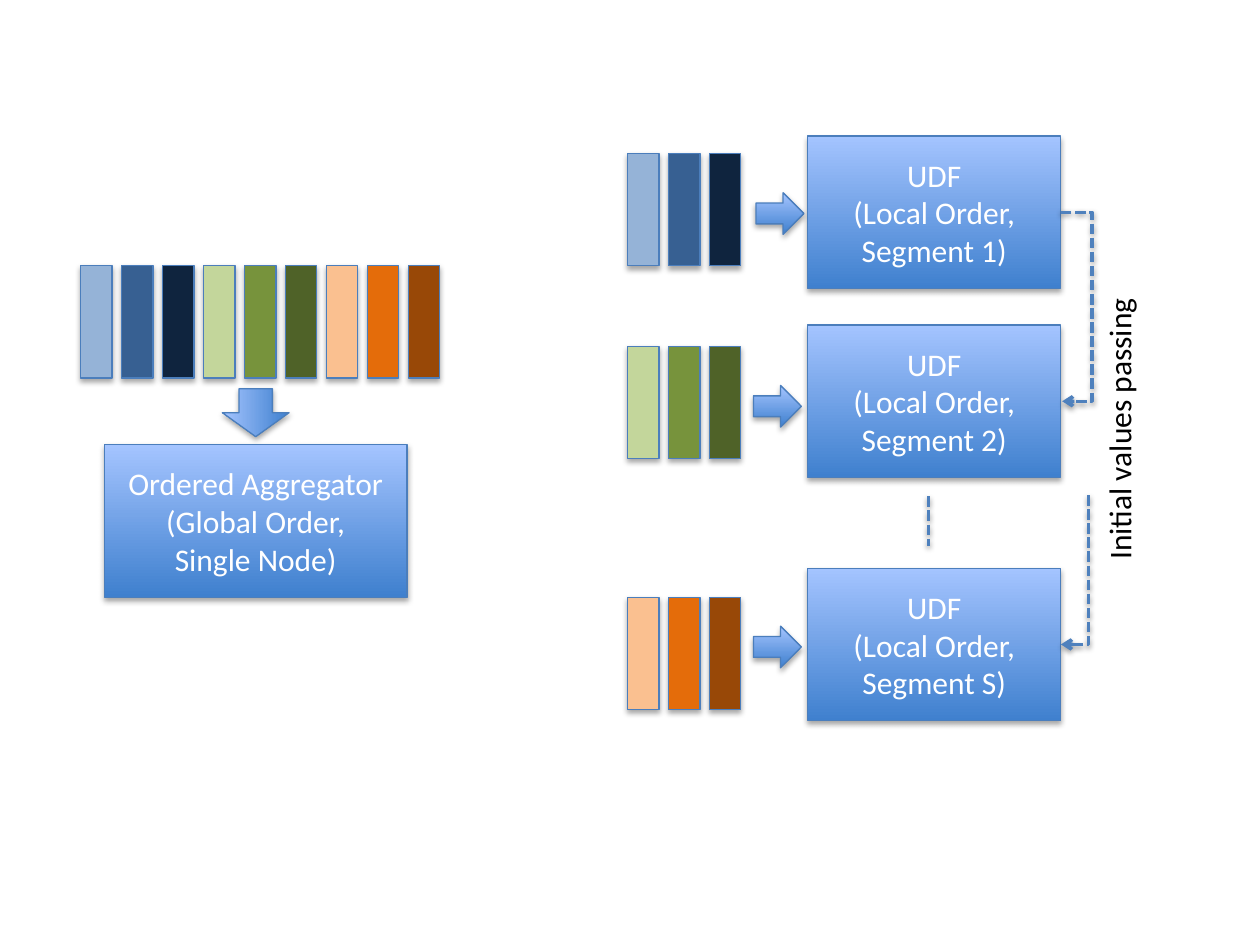
"""Build a slide comparing one global ordered aggregator with segmented local UDFs."""
from dataclasses import dataclass

from lxml.etree import SubElement
from pptx import Presentation
from pptx.dml.color import RGBColor as RGB
from pptx.enum.dml import MSO_LINE
from pptx.enum.shapes import MSO_CONNECTOR as CONN, MSO_SHAPE as SHAPE
from pptx.enum.text import MSO_ANCHOR as ANCHOR, PP_ALIGN as ALIGN
from pptx.oxml.ns import qn
from pptx.util import Inches, Pt


@dataclass(frozen=True)
class Theme:
    font: str = "Calibri"
    size: int = 18
    light: str = "A4C4FF"
    dark: str = "3F80CE"
    outline: str = "4B7EBC"
    link: str = "4F81BD"
    white: str = "FFFFFF"
    black: str = "000000"


THEME = Theme()
AGGREGATOR = ["Ordered Aggregator", "(Global Order,", "Single Node)"]
PASSING = "Initial values passing"
SEGMENTS = [
    {"name": "1", "bars": ["95B3D7", "376092", "0F243E"], "bar_y": 1.22, "arrow": (6, 1.53), "box_y": 1.08},
    {"name": "2", "bars": ["C3D69B", "77933C", "4F6228"], "bar_y": 2.75, "arrow": (5.98, 3.06), "box_y": 2.58},
    {"name": "S", "bars": ["FAC090", "E46C0A", "984807"], "bar_y": 4.74, "arrow": (5.98, 4.97), "box_y": 4.51},
]
BAR_W, BAR_H, BAR_STEP = 0.25, 0.89, 0.325
GLOBAL_X, GLOBAL_Y, LOCAL_X = 0.64, 2.11, 4.98
BOX_X, BOX_W, BOX_H = 6.41, 2.01, 1.21
BOX_RIGHT = BOX_X + BOX_W


def add_shadow(effects, alpha, dist):
    shadow = SubElement(effects, qn("a:outerShdw"), blurRad="40000", dist=str(dist),
                        dir="5400000", rotWithShape="0")
    color = SubElement(shadow, qn("a:srgbClr"), val=THEME.black)
    SubElement(color, qn("a:alpha"), val=str(alpha * 1000))


def add_block(slide, kind, x, y, w, h, color=None):
    s = slide.shapes.add_shape(kind, *map(Inches, (x, y, w, h)))
    if color:
        s.fill.solid()
        s.fill.fore_color.rgb = RGB.from_string(color)
    else:
        s.fill.gradient()
        s.fill.gradient_angle = 90
        for stop, shade, pos in zip(s.fill.gradient_stops, (THEME.dark, THEME.light), (0, 1)):
            stop.color.rgb = RGB.from_string(shade)
            stop.position = pos
    s.line.color.rgb = RGB.from_string(THEME.outline)
    s.line.width = Pt(0.75)
    s.shadow.inherit = False
    add_shadow(s._element.spPr.find(qn("a:effectLst")), 35, 23000)
    return s


def set_text(s, lines, color=THEME.white, align=ALIGN.CENTER, anchor=ANCHOR.MIDDLE, wrap=True):
    tf = s.text_frame
    tf.word_wrap, tf.vertical_anchor = wrap, anchor
    for i, line in enumerate(lines):
        p = tf.add_paragraph() if i else tf.paragraphs[0]
        p.alignment = align
        r = p.add_run()
        r.text = line
        r.font.name, r.font.size = THEME.font, Pt(THEME.size)
        r.font.color.rgb = RGB.from_string(color)


def add_bars(slide, colors, x, y):
    for i, color in enumerate(colors):
        add_block(slide, SHAPE.RECTANGLE, x + i * BAR_STEP, y, BAR_W, BAR_H, color)


def add_link(slide, kind, start, end, arrow=True):
    c = slide.shapes.add_connector(kind, *map(Inches, (*start, *end)))
    c.line.color.rgb = RGB.from_string(THEME.link)
    c.line.width = Pt(2)
    c.line.dash_style = MSO_LINE.SQUARE_DOT
    sp_pr = c._element.spPr
    if arrow:
        SubElement(sp_pr.find(qn("a:ln")), qn("a:tailEnd"), type="arrow")
    add_shadow(SubElement(sp_pr, qn("a:effectLst")), 38, 20000)
    return sp_pr


def add_global(slide):
    add_bars(slide, [c for seg in SEGMENTS for c in seg["bars"]], GLOBAL_X, GLOBAL_Y)
    box = add_block(slide, SHAPE.RECTANGLE, 0.83, 3.53, 2.4, BOX_H)
    set_text(box, AGGREGATOR)
    arrow = add_block(slide, SHAPE.RIGHT_ARROW, 1.84, 3.01, 0.38, 0.53)
    arrow.rotation = 90
    arrow._element.spPr.xfrm.set("flipV", "1")


def add_segments(slide):
    for seg in SEGMENTS:
        add_bars(slide, seg["bars"], LOCAL_X, seg["bar_y"])
        add_block(slide, SHAPE.RIGHT_ARROW, *seg["arrow"], 0.38, 0.33)
        box = add_block(slide, SHAPE.RECTANGLE, BOX_X, seg["box_y"], BOX_W, BOX_H)
        set_text(box, ["UDF", f"(Local Order, Segment {seg['name']})"])


def add_passing(slide):
    first, second, last = (seg["box_y"] + BOX_H / 2 for seg in SEGMENTS)
    add_link(slide, CONN.STRAIGHT, (7.37, 3.94), (7.37, 4.33), arrow=False)

    geom = add_link(slide, CONN.ELBOW, (BOX_RIGHT, first), (BOX_RIGHT + 0.01, second)).find(qn("a:prstGeom"))
    guides = geom.find(qn("a:avLst"))
    if guides is None:
        guides = SubElement(geom, qn("a:avLst"))
    SubElement(guides, qn("a:gd"), name="adj1", fmla="val 2500000")

    run, rise = last - 3.93, 0.22
    mid_x, mid_y = BOX_RIGHT + rise / 2, last - run / 2
    corner = add_link(slide, CONN.ELBOW, (mid_x - run / 2, mid_y - rise / 2),
                      (mid_x + run / 2, mid_y + rise / 2))
    corner.xfrm.set("rot", "5400000")
    corner.find(qn("a:prstGeom")).set("prst", "bentConnector2")

    label = slide.shapes.add_textbox(*map(Inches, (7.73, 3.19, 2.3, 0.4)))
    label.rotation = 270
    set_text(label, [PASSING], color=THEME.black, align=ALIGN.LEFT, anchor=ANCHOR.TOP, wrap=False)


def main():
    prs = Presentation()
    prs.slide_width, prs.slide_height = Inches(10), Inches(7.5)
    slide = prs.slides.add_slide(prs.slide_layouts[6])
    add_global(slide)
    add_segments(slide)
    add_passing(slide)
    prs.save("out.pptx")


if __name__ == "__main__":
    main()
